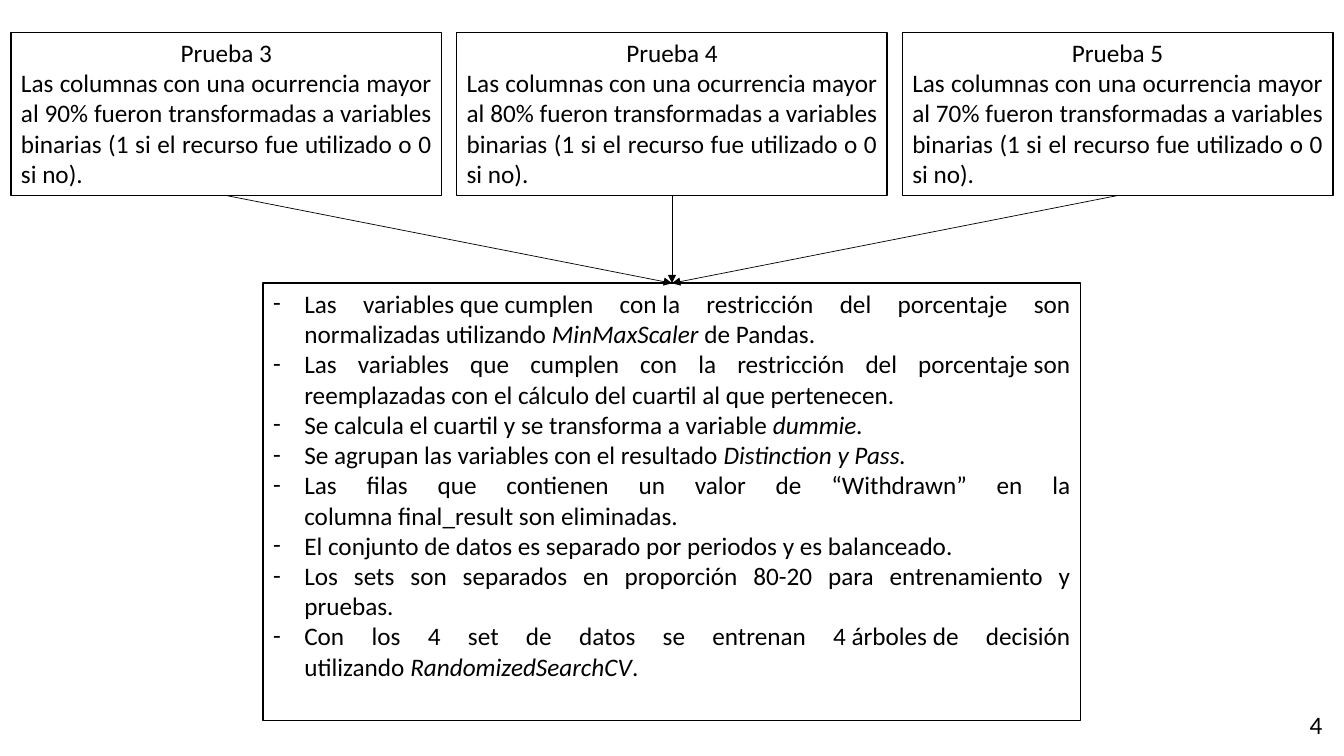
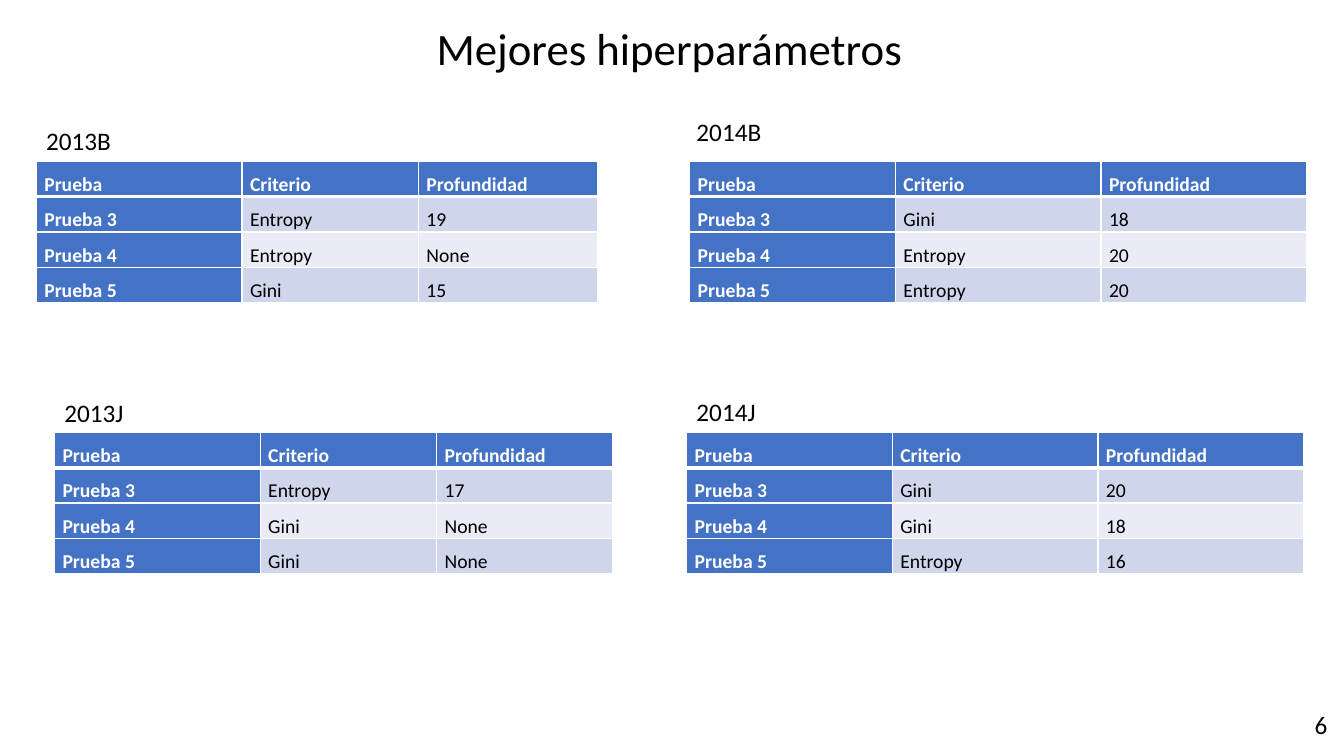
from dataclasses import dataclass

import pptx
import pptx.dml.color
import pptx.enum.shapes
import pptx.enum.text
import pptx.oxml.ns
import pptx.util
from lxml import etree

ALIGN = pptx.enum.text.PP_ALIGN
PX = 9144  # EMU in one px, 100 px to the inch
HARD_SPACE = chr(160)


@dataclass(frozen=True)
class Theme:
    font: str = "Calibri"
    ink: str = "000000"
    paper: str = "FFFFFF"
    header: str = "4472C4"
    bands: tuple = ("CFD5EA", "E9EBF5")
    title_pt: int = 32
    body_pt: int = 18
    table_pt: int = 14


THEME = Theme()
FRAME = dict(word_wrap=True, auto_size=pptx.enum.text.MSO_AUTO_SIZE.NONE,
             vertical_anchor=pptx.enum.text.MSO_ANCHOR.TOP)
CELL = dict(margin_left=8 * PX, margin_right=8 * PX, margin_top=0, margin_bottom=0)

# Asterisks enclose italic words, a tilde is a non-breaking space
TEST_RULE = ("Las columnas~con una ocurrencia mayor al {}% fueron transformadas a variables "
             "binarias (1 si el recurso fue utilizado o 0 si no).~")
TESTS = [("Prueba 3", 90), ("Prueba 4", 80), ("Prueba 5", 70)]
STEPS = [
    "Las variables~que~cumplen con~la restricción del porcentaje son "
    "normalizadas~utilizando~*MinMaxScaler*~de Pandas.~",
    "Las variables que cumplen con la restricción del porcentaje~son "
    "reemplazadas~con el~cálculo~del cuartil al que pertenecen.",
    "Se calcula el cuartil y se transforma a variable *dummie.*",
    "Se agrupan las variables con el resultado *Distinction y Pass.*",
    "Las filas que contienen un valor de “Withdrawn” en la "
    "columna~final_result~son eliminadas.~",
    "El~conjunto~de datos es separado por periodos y es balanceado.~",
    "Los sets son separados en proporción 80-20 para entrenamiento y pruebas.~",
    "Con los 4 set de datos se entrenan 4~árboles~de decisión "
    "utilizando~*RandomizedSearchCV*.~",
]

HEADINGS = ("Prueba", "Criterio", "Profundidad")
# Period, label corner, table corner, column widths, (criterion, depth) for each test
PERIODS = [
    ("2013B", (36, 119), (36, 160), (204, 175, 178),
     [("Entropy", "19"), ("Entropy", "None"), ("Gini", "15")]),
    ("2013J", (54, 389), (54, 429), (204, 175, 175),
     [("Entropy", "17"), ("Gini", "None"), ("Gini", "None")]),
    ("2014B", (681, 111), (684, 160), (204, 204, 204),
     [("Gini", "18"), ("Entropy", "20"), ("Entropy", "20")]),
    ("2014J", (681, 388), (681, 429), (204, 204, 204),
     [("Gini", "20"), ("Gini", "18"), ("Entropy", "16")]),
]


# Shared formatting
def apply(target, values):
    for name, value in values.items():
        setattr(target, name, value)


def emu(*lengths):
    return [length * PX for length in lengths]


def rgb(colour):
    return pptx.dml.color.RGBColor.from_string(colour)


def add_xml(parent, tag, **attributes):
    return etree.SubElement(parent, pptx.oxml.ns.qn(tag), attributes)


def paint(fill, colour):
    fill.solid()
    fill.fore_color.rgb = rgb(colour)


def write(paragraph, text, size=THEME.body_pt, colour=THEME.ink, bold=False, **layout):
    apply(paragraph, layout)
    for index, words in enumerate(text.replace("~", HARD_SPACE).split("*")):
        if words:
            run = paragraph.add_run()
            run.text = words
            apply(run.font, dict(name=THEME.font, size=pptx.util.Pt(size),
                                 bold=bold, italic=index % 2 == 1))
            run.font.color.rgb = rgb(colour)


def add_label(slide, box, text):
    frame = slide.shapes.add_textbox(*emu(*box)).text_frame
    apply(frame, FRAME)
    write(frame.paragraphs[0], text)


def add_title(slide, box, text):
    title = slide.shapes.title
    apply(title, dict(zip(("left", "top", "width", "height"), emu(*box))))
    apply(title.text_frame, FRAME)
    write(title.text_frame.paragraphs[0], text, THEME.title_pt, alignment=ALIGN.CENTER)


# Flow of tests into shared steps
def add_panel(slide, box):
    panel = slide.shapes.add_shape(pptx.enum.shapes.MSO_SHAPE.RECTANGLE, *emu(*box))
    panel.shadow.inherit = False
    paint(panel.fill, THEME.paper)
    paint(panel.line.fill, THEME.ink)
    panel.line.width = pptx.util.Pt(1)
    apply(panel.text_frame, FRAME)
    return panel


def add_test(slide, box, name, percent):
    panel = add_panel(slide, box)
    write(panel.text_frame.paragraphs[0], name, alignment=ALIGN.CENTER)
    write(panel.text_frame.add_paragraph(), TEST_RULE.format(percent),
          alignment=ALIGN.JUSTIFY)
    return panel


def add_steps(slide, box):
    panel = add_panel(slide, box)
    frame = panel.text_frame
    for index, step in enumerate(STEPS):
        paragraph = frame.add_paragraph() if index else frame.paragraphs[0]
        write(paragraph, step, alignment=ALIGN.JUSTIFY)
        properties = paragraph._p.get_or_add_pPr()
        properties.set("marL", str(31 * PX))
        properties.set("indent", str(-31 * PX))
        add_xml(properties, "a:buFont", typeface=THEME.font)
        add_xml(properties, "a:buChar", char="-")
    return panel


def add_arrow(slide, start, end):
    arrow = slide.shapes.add_connector(pptx.enum.shapes.MSO_CONNECTOR.STRAIGHT, 0, 0, 0, 0)
    arrow.begin_connect(start, 2)
    arrow.end_connect(end, 0)
    paint(arrow.line.fill, THEME.ink)
    arrow.line.width = pptx.util.Pt(0.5)
    add_xml(arrow.line._get_or_add_ln(), "a:tailEnd", type="triangle")
    add_xml(arrow._element.spPr, "a:effectLst")


def build_flow(deck):
    slide = deck.slides.add_slide(deck.slide_layouts[6])
    add_label(slide, (1289, 699, 40, 40), "4")
    left, top, width, height, gap = 11, 32, 427, 162, 15
    tests = [add_test(slide, (left + i * (width + gap), top, width, height), *test)
             for i, test in enumerate(TESTS)]
    steps = add_steps(slide, (261, 281, 811, 434))
    for test in tests:
        add_arrow(slide, test, steps)


# Tables of best hyperparameters
def add_borders(cell, bottom_pt):
    properties = cell._tc.get_or_add_tcPr()
    for index, (side, points) in enumerate(dict(L=1, R=1, T=1, B=bottom_pt).items()):
        edge = add_xml(properties, f"a:ln{side}", w=str(pptx.util.Pt(points)))
        add_xml(add_xml(edge, "a:solidFill"), "a:srgbClr", val=THEME.paper)
        properties.insert(index, edge)


def add_results(slide, corner, widths, results):
    rows = [HEADINGS] + [(name, *result) for (name, _), result in zip(TESTS, results)]
    row_height = 31
    table = slide.shapes.add_table(
        len(rows), len(widths),
        *emu(*corner, sum(widths), row_height * len(rows))).table
    table.first_col = True
    for column, width in zip(table.columns, widths):
        column.width = width * PX
    for r, row in enumerate(rows):
        for c, text in enumerate(row):
            cell = table.cell(r, c)
            heading = r == 0 or c == 0
            apply(cell, CELL)
            paint(cell.fill, THEME.header if heading else THEME.bands[(r - 1) % 2])
            add_borders(cell, 1 if r else 3)
            write(cell.text_frame.paragraphs[0], text, THEME.table_pt,
                  THEME.paper if heading else THEME.ink, heading,
                  alignment=ALIGN.JUSTIFY, line_spacing=1.48)


def build_results(deck):
    slide = deck.slides.add_slide(deck.slide_layouts[5])
    add_title(slide, (364, 16, 600, 64), "Mejores hiperparámetros")
    for period, label_corner, table_corner, widths, results in PERIODS:
        add_results(slide, table_corner, widths, results)
        add_label(slide, (*label_corner, 100, 40), period)
    add_label(slide, (1294, 699, 39, 40), "6")


def main():
    deck = pptx.Presentation()
    apply(deck, dict(slide_width=1333 * PX, slide_height=750 * PX))
    build_flow(deck)
    build_results(deck)
    deck.save("out.pptx")


if __name__ == "__main__":
    main()
